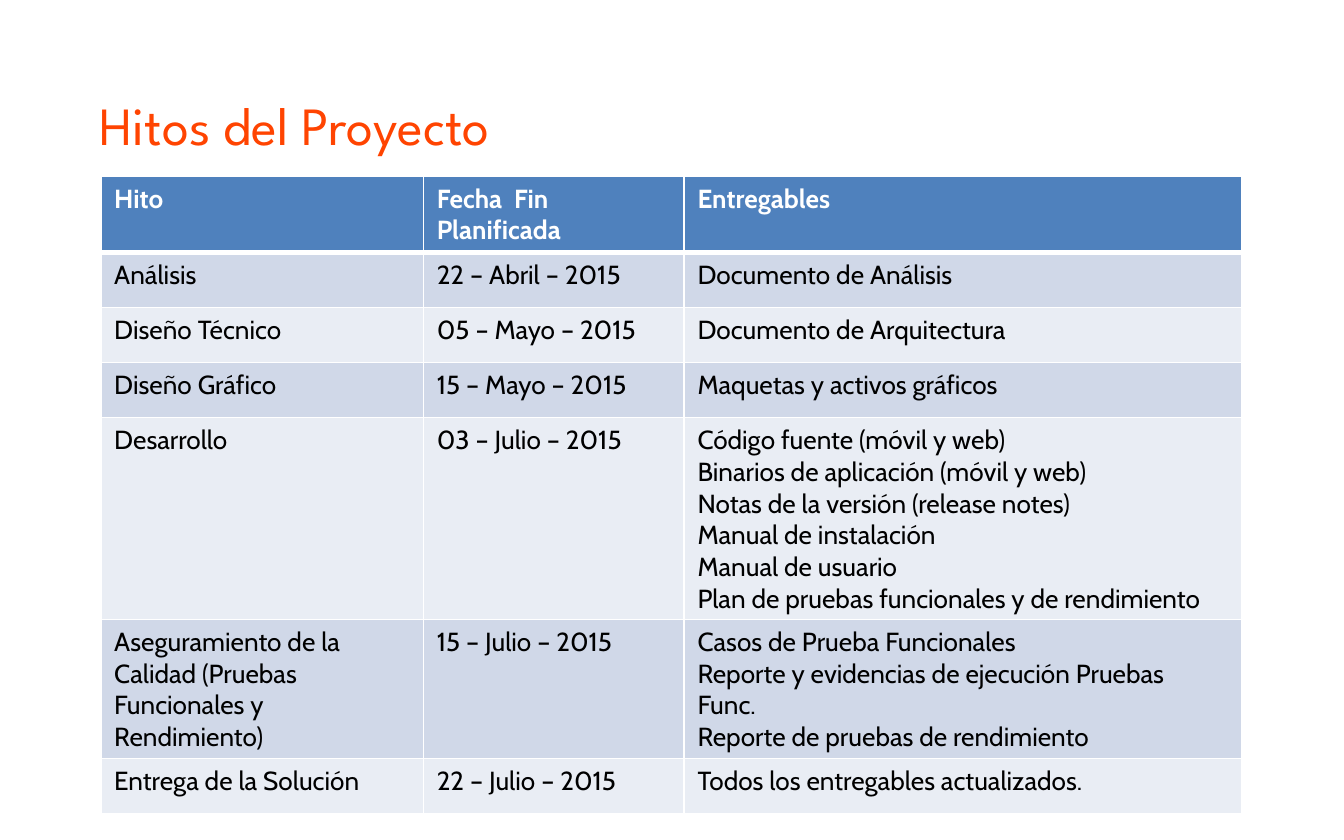
from lxml.etree import SubElement
from pptx import Presentation
from pptx.dml.color import RGBColor
from pptx.enum.text import MSO_ANCHOR
from pptx.oxml.ns import qn
from pptx.util import Inches, Pt

COLORS = {"title": "FF4401", "header": "4F81BD", "odd": "D0D8E8",
          "even": "E9EDF4", "white": "FFFFFF", "black": "000000"}
FORMATS = {
    "title": {"name": "League Spartan", "size": Pt(28.8), "bold": False},
    "header": {"name": "Cabin", "size": Pt(14), "bold": True},
    "body": {"name": "Cabin", "size": Pt(14), "bold": False},
}
COLUMNS = [2.4, 1.94, 4.15]
ROW_HEIGHT = 0.41
MILESTONES = [
    ("Hito", "Fecha  Fin Planificada", ["Entregables"]),
    ("Análisis", "22 – Abril – 2015", ["Documento de Análisis"]),
    ("Diseño Técnico", "05 – Mayo – 2015", ["Documento de Arquitectura"]),
    ("Diseño Gráfico", "15 – Mayo – 2015", ["Maquetas y activos gráficos"]),
    ("Desarrollo", "03 – Julio – 2015", [
        "Código fuente (móvil y web)",
        "Binarios de aplicación (móvil y web)",
        "Notas de la versión (release notes)",
        "Manual de instalación",
        "Manual de usuario",
        "Plan de pruebas funcionales y de rendimiento"]),
    ("Aseguramiento de la Calidad (Pruebas Funcionales y Rendimiento)",
     "15 – Julio – 2015", [
         "Casos de Prueba Funcionales",
         "Reporte y evidencias de ejecución Pruebas Func.",
         "Reporte de pruebas de rendimiento"]),
    ("Entrega de la Solución", "22 – Julio – 2015",
     ["Todos los entregables actualizados."]),
]


class SlideBuilder:
    def __init__(self, slide):
        self.s = slide

    def add_lines(self, tf, lines, style, color):
        for i, line in enumerate(lines):
            p = tf.paragraphs[0] if i == 0 else tf.add_paragraph()
            r = p.add_run()
            r.text = line
            for key, value in FORMATS[style].items():
                setattr(r.font, key, value)
            r.font.color.rgb = RGBColor.from_string(COLORS[color])

    def title(self, text, left, top, width, height):
        sp = self.s.shapes.add_textbox(
            Inches(left), Inches(top), Inches(width), Inches(height))
        tf = sp.text_frame
        tf.word_wrap = True
        tf.vertical_anchor = MSO_ANCHOR.MIDDLE
        self.add_lines(tf, [text], "title", "title")

    def borders(self, cell, widths):
        tcPr = cell._tc.get_or_add_tcPr()
        for side, width in widths.items():
            ln = SubElement(tcPr, qn(f"a:ln{side}"), w=str(Pt(width)))
            fill = SubElement(ln, qn("a:solidFill"))
            SubElement(fill, qn("a:srgbClr"), val=COLORS["white"])

    def table(self, rows, left, top):
        table = self.s.shapes.add_table(
            len(rows), len(COLUMNS), Inches(left), Inches(top),
            Inches(sum(COLUMNS)), Inches(ROW_HEIGHT * len(rows))).table
        for column, width in zip(table.columns, COLUMNS):
            column.width = Inches(width)
        for i, row in enumerate(rows):
            table.rows[i].height = Inches(ROW_HEIGHT)
            fill = "header" if i == 0 else "odd" if i % 2 else "even"
            style, color = ("header", "white") if i == 0 else ("body", "black")
            # The rule under the header is thicker
            widths = {"L": 1, "R": 1, "T": 3 if i == 1 else 1,
                      "B": 3 if i == 0 else 1}
            for j, content in enumerate(row):
                cell = table.cell(i, j)
                lines = content if isinstance(content, list) else [content]
                self.add_lines(cell.text_frame, lines, style, color)
                self.borders(cell, widths)
                cell.fill.solid()
                cell.fill.fore_color.rgb = RGBColor.from_string(COLORS[fill])


def main():
    prs = Presentation()
    prs.slide_width, prs.slide_height = Inches(10), Inches(6.25)
    builder = SlideBuilder(prs.slides.add_slide(prs.slide_layouts[6]))

    # Heading
    builder.title("Hitos del Proyecto", 0.64, 0.67, 8.49, 0.5)

    # Milestone table
    builder.table(MILESTONES, 0.75, 1.31)

    prs.save("out.pptx")


if __name__ == "__main__":
    main()
